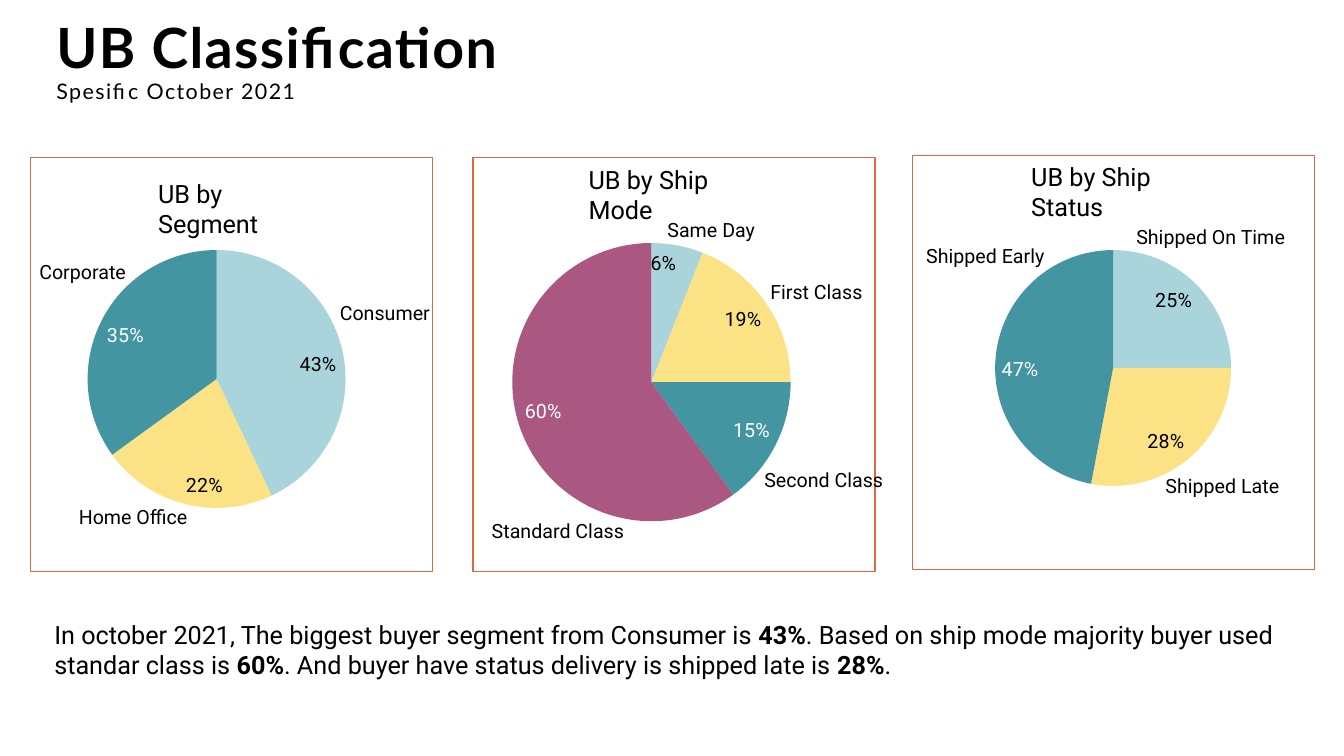
from lxml import etree
from pptx import Presentation
from pptx.chart.data import CategoryChartData
from pptx.dml.color import RGBColor
from pptx.enum import chart as chart_enum, shapes, text
from pptx.oxml import parse_xml
from pptx.oxml.ns import nsdecls
from pptx.util import Inches, Pt

BLACK = RGBColor(0x00, 0x00, 0x00)
WHITE = RGBColor(0xFF, 0xFF, 0xFF)
ORANGE = RGBColor(0xE0, 0x67, 0x42)
AQUA = RGBColor(0xA9, 0xD4, 0xDB)
YELLOW = RGBColor(0xFB, 0xE2, 0x84)
TEAL = RGBColor(0x44, 0x95, 0xA2)
PLUM = RGBColor(0xAA, 0x58, 0x81)
SLICES = [(AQUA, BLACK), (YELLOW, BLACK), (TEAL, WHITE), (PLUM, WHITE)]  # fill, label

# Content: lengths in inches; a slice is (name, percent, name box, alignment)
LEFT, RIGHT = text.PP_ALIGN.LEFT, text.PP_ALIGN.RIGHT
TITLE = [("UB Classification", 39.6, True), ("Spesific October 2021", 15.3, False)]
CARD_SIZE = (3.99, 4.11)
LABEL_HEIGHT = 0.21
LABEL_SLACK = 0.25  # spare width on the side away from the alignment edge
CARDS = [
    {"title": "UB by Segment", "title_at": (1.47, 1.72), "card_at": (0.3, 1.56),
     "chart_box": (0.73, 2.39, 2.84, 2.74), "diameter": 2.56,
     "slices": [("Consumer", 43, (3.37, 3.01, 0.84), LEFT),
                ("Home Office", 22, (0.84, 5.04, 1.02), RIGHT),
                ("Corporate", 35, (0.44, 2.6, 0.81), RIGHT)]},
    {"title": "UB by Ship Mode", "title_at": (5.74, 1.58), "card_at": (4.69, 1.56),
     "chart_box": (4.99, 2.32, 2.94, 2.94), "diameter": 2.76,
     "slices": [("Same Day", 6, (6.62, 2.19, 0.82), LEFT),
                ("First Class", 19, (7.64, 2.8, 0.85), LEFT),
                ("Second Class", 15, (7.58, 4.67, 1.1), LEFT),
                ("Standard Class", 60, (4.95, 5.17, 1.24), RIGHT)]},
    {"title": "UB by Ship Status", "title_at": (10.13, 1.55), "card_at": (9.05, 1.54),
     "chart_box": (9.62, 2.39, 2.84, 2.52), "diameter": 2.34,
     "slices": [("Shipped On Time", 25, (11.27, 2.26, 1.4), LEFT),
                ("Shipped Late", 28, (11.56, 4.73, 1.08), LEFT),
                ("Shipped Early", 47, (9.24, 2.45, 1.12), RIGHT)]},
]
SUMMARY = [
    ("In october 2021, The biggest buyer segment from Consumer is ", False),
    ("43%", True),
    (". Based on ship mode majority buyer used standar class is ", False),
    ("60%", True),
    (". And buyer have status delivery is shipped late is ", False),
    ("28%", True),
    (".", False),
]


def inches(values):
    return [Inches(value) for value in values]


def style_font(font, size, color=BLACK, name="Roboto"):
    font.name, font.size = name, Pt(size)
    font.color.rgb = color


def clear_margins(frame):
    frame.margin_left = frame.margin_right = frame.margin_top = frame.margin_bottom = 0


def add_text(slide, box, runs, size):
    frame = slide.shapes.add_textbox(*inches(box)).text_frame
    frame.word_wrap = True
    paragraph = frame.paragraphs[0]
    style_font(paragraph.font, size)
    for words, bold in runs:
        run = paragraph.add_run()
        run.text, run.font.bold = words, bold
    return frame


def add_card(slide, card):
    shape = slide.shapes.add_shape(shapes.MSO_SHAPE.RECTANGLE,
                                   *inches(card["card_at"] + CARD_SIZE))
    shape.shadow.inherit = False
    shape.fill.solid()
    shape.fill.fore_color.rgb = WHITE
    shape.line.color.rgb = ORANGE
    shape.line.width = Pt(1)


def add_pie(slide, card):
    data = CategoryChartData(number_format='0"%"')
    data.categories = [name for name, *_ in card["slices"]]
    data.add_series(card["title"], [percent for _, percent, *_ in card["slices"]])
    chart = slide.shapes.add_chart(chart_enum.XL_CHART_TYPE.PIE,
                                   *inches(card["chart_box"]), data).chart
    chart.has_legend = chart.has_title = False
    style_font(chart.font, 14)
    plot = chart.plots[0]
    plot.vary_by_categories = True
    for index in range(len(card["slices"])):
        fill, label_color = SLICES[index]
        point = plot.series[0].points[index]
        point.format.fill.solid()
        point.format.fill.fore_color.rgb = fill
        style_font(point.data_label.font, 14, label_color)
        point.data_label.position = chart_enum.XL_LABEL_POSITION.INSIDE_END

    # Centre the pie in its frame at the given diameter
    width, height = (card["diameter"] / side for side in card["chart_box"][2:])
    values = {"x": (1 - width) / 2, "y": (1 - height) / 2, "w": width, "h": height}
    parts = "".join(f'<c:{key} val="{value:.3f}"/>' for key, value in values.items())
    layout = parse_xml(
        f'<c:layout {nsdecls("c")}><c:manualLayout><c:layoutTarget val="inner"/>'
        f'<c:xMode val="edge"/><c:yMode val="edge"/>{parts}</c:manualLayout></c:layout>')
    plot_area = chart._chartSpace.chart.plotArea
    for old in plot_area.findall(etree.QName(layout).text):
        plot_area.remove(old)
    plot_area.insert(0, layout)


def add_slice_names(slide, card):
    for name, _, (left, top, width), alignment in card["slices"]:
        if alignment == RIGHT:
            left -= LABEL_SLACK
        box = (left, top, width + LABEL_SLACK, LABEL_HEIGHT)
        frame = add_text(slide, box, [(name, False)], 14)
        clear_margins(frame)
        frame.vertical_anchor = text.MSO_ANCHOR.MIDDLE
        frame.paragraphs[0].alignment = alignment
        frame.paragraphs[0].line_spacing = 0.9


def add_title(slide):
    title = slide.shapes.title
    title.left, title.top, title.width, title.height = inches((0.56, 0.36, 9.16, 0.67))
    frame = title.text_frame
    frame.auto_size = text.MSO_AUTO_SIZE.NONE
    frame.vertical_anchor = text.MSO_ANCHOR.BOTTOM
    clear_margins(frame)
    paragraph = frame.paragraphs[0]
    paragraph.alignment, paragraph.line_spacing = LEFT, 0.9
    for index, (words, size, bold) in enumerate(TITLE):
        if index:
            paragraph.add_line_break()
        run = paragraph.add_run()
        run.text, run.font.bold = words, bold
        style_font(run.font, size, name="Lato")
        run.font._element.set("spc", "100")


def main():
    presentation = Presentation()
    presentation.slide_width, presentation.slide_height = inches((13.33, 7.5))
    slide = presentation.slides.add_slide(presentation.slide_layouts[5])
    add_title(slide)

    # Cards, each with a heading, a pie and the names of its slices
    for card in CARDS:
        add_card(slide, card)
        add_pie(slide, card)
        add_slice_names(slide, card)
        add_text(slide, card["title_at"] + (1.5, 0.7), [(card["title"], False)], 18)

    # Summary
    add_text(slide, (0.44, 6.09, 12.69, 0.71), SUMMARY, 18)
    presentation.save("out.pptx")


if __name__ == "__main__":
    main()
